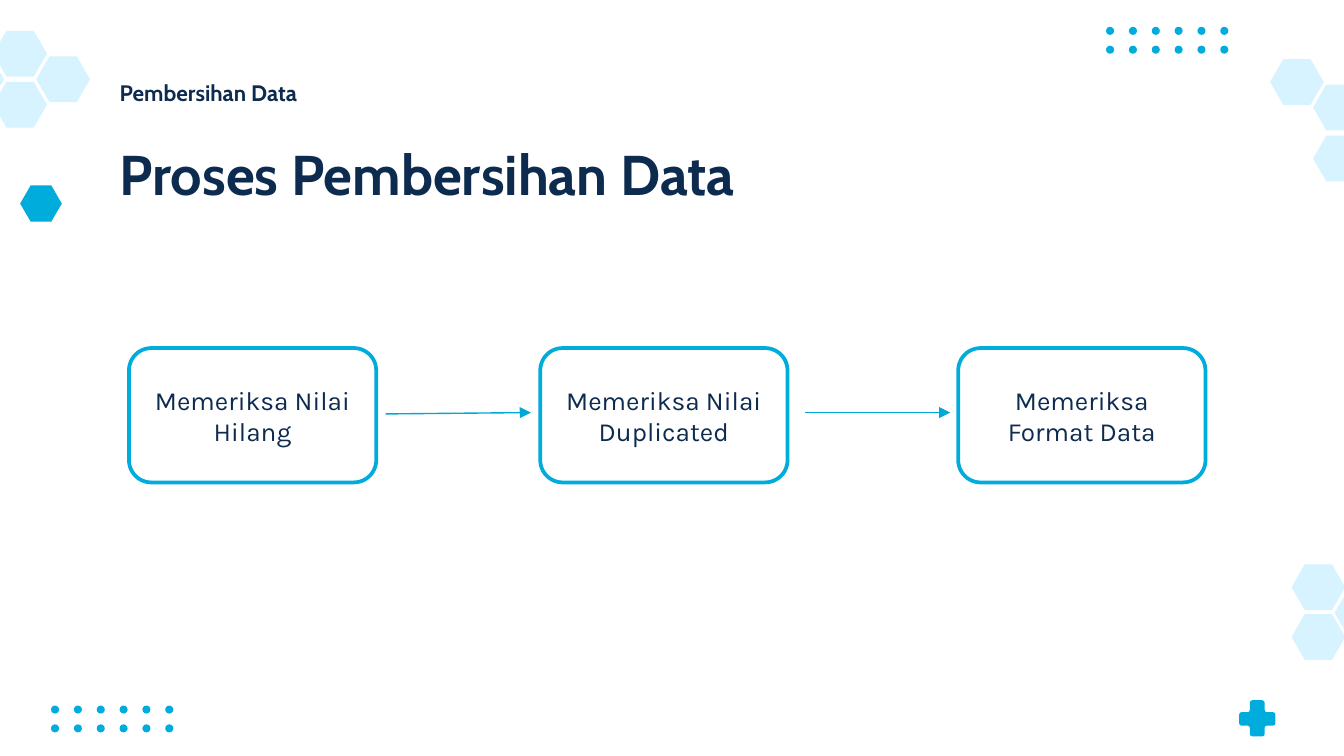
"""Build the slide on the data cleaning process."""
from lxml import etree
from pptx import Presentation
from pptx.dml.color import RGBColor
from pptx.enum.shapes import MSO_CONNECTOR, MSO_SHAPE
from pptx.enum.text import MSO_ANCHOR, MSO_AUTO_SIZE, PP_ALIGN
from pptx.oxml.ns import qn
from pptx.util import Inches, Pt

BLUE, PALE, NAVY, WHITE = "00ACDC", "D6F3FF", "0D2B4F", "FFFFFF"


def paint(sp, fill, line=None):
    sp.shadow.inherit = False
    sp.fill.solid()
    sp.fill.fore_color.rgb = RGBColor.from_string(fill)
    if line:
        sp.line.color.rgb = RGBColor.from_string(line)
        sp.line.width = Pt(2)
    else:
        sp.line.fill.background()


def write(sp, text, frame, font, align):
    tf = sp.text_frame
    for name, value in frame.items():
        setattr(tf, name, value)
    p = tf.paragraphs[0]
    p.alignment = align
    r = p.add_run()
    r.text = text
    for name, value in font.items():
        setattr(r.font, name, value)
    r.font.color.rgb = RGBColor.from_string(NAVY)


prs = Presentation()
prs.slide_width = Inches(10)
prs.slide_height = Inches(10) * 9 // 16
s = prs.slides.add_slide(prs.slide_layouts[5])
s.background.fill.solid()
s.background.fill.fore_color.rgb = RGBColor.from_string(WHITE)

for left, top in [(0.38, 5.25), (8.23, 0.2)]:
    for row in range(2):
        for col in range(6):
            dot = s.shapes.add_shape(
                MSO_SHAPE.OVAL, Inches(left + 0.17 * col), Inches(top + 0.14 * row),
                Inches(0.06), Inches(0.06))
            paint(dot, BLUE)

hexagons = [(0.15, 1.38, 0.31, 0.27, BLUE)]
hexagons += [(x, y, 0.4, 0.34, PALE) for x, y in [
    (9.61, 4.2), (9.61, 4.57), (9.93, 4.39),
    (0.27, 0.42), (-0.05, 0.23), (-0.05, 0.61), (-0.37, 0.42),
    (9.77, 0.63), (9.45, 0.44), (9.77, 1.01)]]
for x, y, w, h, color in hexagons:
    sp = s.shapes.add_shape(MSO_SHAPE.HEXAGON, Inches(x), Inches(y), Inches(w), Inches(h))
    sp.adjustments[0] = 0.29
    paint(sp, color)

x0, x1, x2, x3 = 9.22, 9.3, 9.41, 9.49
y0, y1, y2, y3 = 5.21, 5.3, 5.4, 5.48
corners = [(x1, y0), (x2, y0), (x2, y1), (x3, y1), (x3, y2), (x2, y2),
           (x2, y3), (x1, y3), (x1, y2), (x0, y2), (x0, y1), (x1, y1)]
points = []
for i, (x, y) in enumerate(corners):
    (ax, ay), (bx, by) = corners[i - 1], corners[(i + 1) % len(corners)]
    for t in (0, 0.25, 0.5, 0.75, 1):
        before, after = 0.25 * (1 - t) ** 2, 0.25 * t ** 2
        points.append((Inches(x + before * (ax - x) + after * (bx - x)),
                       Inches(y + before * (ay - y) + after * (by - y))))
builder = s.shapes.build_freeform(*points[0])
builder.add_line_segments(points[1:], close=True)
paint(builder.convert_to_shape(), BLUE)

title = s.shapes.title
title.left, title.top, title.width, title.height = (
    Inches(v) for v in (0.79, 0.49, 8.43, 0.46))
heading = s.shapes.add_textbox(Inches(0.79), Inches(0.94), Inches(8.43), Inches(0.63))
margins = ("margin_left", "margin_top", "margin_right", "margin_bottom")
frame = dict.fromkeys(margins, Inches(0.1))
frame.update(word_wrap=True, auto_size=MSO_AUTO_SIZE.NONE, vertical_anchor=MSO_ANCHOR.TOP)
for sp, text, size in [(title, "Pembersihan Data", 12),
                       (heading, "Proses Pembersihan Data", 30)]:
    write(sp, text, frame, {"name": "Cabin", "size": Pt(size), "bold": True}, PP_ALIGN.LEFT)

for x, text in [(0.96, "Memeriksa Nilai Hilang"), (4.02, "Memeriksa Nilai Duplicated"),
                (7.13, "Memeriksa Format Data")]:
    sp = s.shapes.add_shape(
        MSO_SHAPE.ROUNDED_RECTANGLE, Inches(x), Inches(2.59), Inches(1.84), Inches(1))
    paint(sp, WHITE, BLUE)
    write(sp, text, {"word_wrap": True, "vertical_anchor": MSO_ANCHOR.MIDDLE},
          {"name": "Karla", "size": Pt(14)}, PP_ALIGN.CENTER)

for x, y in [(2.87, 3.08), (5.99, 3.07)]:
    arrow = s.shapes.add_connector(
        MSO_CONNECTOR.STRAIGHT, Inches(x), Inches(y), Inches(x + 1.08), Inches(3.07))
    arrow.line.color.rgb = RGBColor.from_string("00A8D7")
    arrow.line.width = Pt(0.75)
    ln = arrow._element.spPr.find(qn("a:ln"))
    etree.SubElement(ln, qn("a:tailEnd"), type="triangle")
    etree.SubElement(arrow._element.spPr, qn("a:effectLst"))

prs.save("out.pptx")
